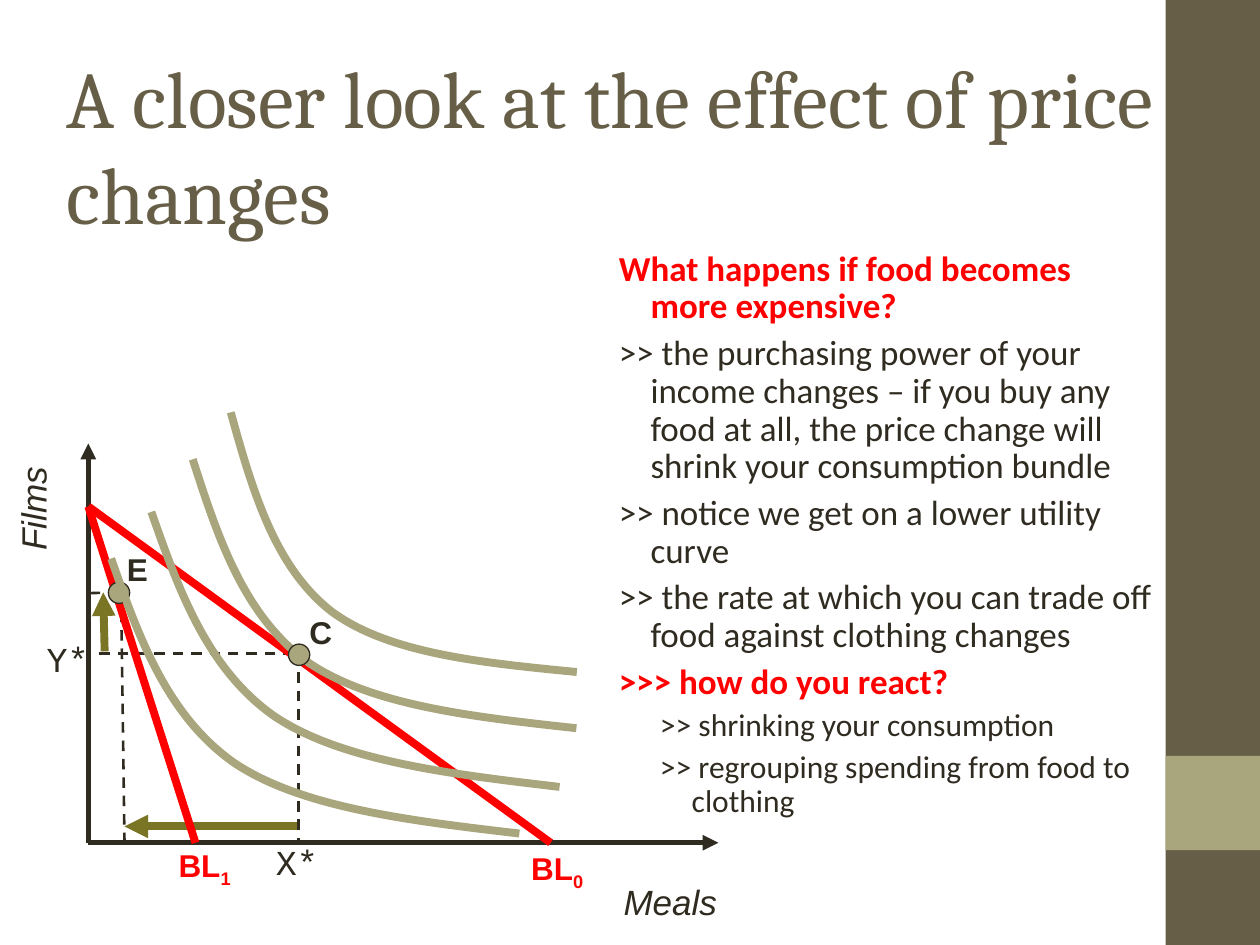
from dataclasses import dataclass

from lxml import etree
from pptx import Presentation
from pptx import util as u
from pptx.dml.color import RGBColor
from pptx.enum import dml, shapes, text
from pptx.oxml.ns import qn


@dataclass(frozen=True)
class Theme:
    ink: str = "2F2B20"
    brown: str = "675E47"
    sage: str = "A9A57C"
    olive: str = "7A7425"
    red: str = "FF0000"
    title_font: str = "Cambria"
    body_font: str = "Calibri"
    label_font: str = "Arial"
    value_font: str = "Courier New"
    title_size: float = 46
    body_size: float = 20
    small_size: float = 18
    thin: float = 1.5
    axis: float = 3
    thick: float = 4.5


THEME = Theme()

# Indifference curve as fractions of its box: start, then two Bezier segments
CURVE = [(0, 0), (0.1, 0.36), (0.2, 0.71), (0.365, 0.86),
         (0.53, 1), (0.765, 0.93), (1, 0.86)]
CURVE_HEIGHT, CURVE_TILT = 3.96, 13.9


def write(paragraph, words, *, size, font, color=THEME.ink, bold=False,
          italic=False, baseline=None):
    """Add one formatted run to a paragraph."""
    run = paragraph.add_run()
    run.text = words
    run.font.size, run.font.name = u.Pt(size), font
    run.font.bold, run.font.italic = bold, italic
    run.font.color.rgb = RGBColor.from_string(color)
    if baseline is not None:
        run.font._element.set("baseline", str(baseline * 1000))


class Canvas:
    """Holds the theme and the current slide; positions are in centimetres."""

    def __init__(self, slide, theme):
        self.slide, self.theme = slide, theme

    def place(self, part, left, top, width, height):
        part.left, part.top = u.Cm(left), u.Cm(top)
        part.width, part.height = u.Cm(width), u.Cm(height)

    def placeholder(self, index, box, anchor):
        holder = self.slide.placeholders[index]
        self.place(holder, *box)
        frame = holder.text_frame
        frame.auto_size, frame.word_wrap = text.MSO_AUTO_SIZE.NONE, True
        frame.vertical_anchor = anchor
        return frame

    def title(self, words, box):
        frame = self.placeholder(0, box, text.MSO_ANCHOR.MIDDLE)
        heading = frame.paragraphs[0]
        heading.alignment = text.PP_ALIGN.LEFT
        write(heading, words, size=self.theme.title_size,
              font=self.theme.title_font, color=self.theme.brown)

    def points(self, entries, box):
        frame = self.placeholder(1, box, text.MSO_ANCHOR.TOP)
        for number, (level, words, strong) in enumerate(entries):
            point = frame.add_paragraph() if number else frame.paragraphs[0]
            point.level, point.line_spacing = level, 0.9
            point.space_before = u.Pt((4.5 if level else 5) if number else 0)
            props = point._p.get_or_add_pPr()
            props.set("marL", str(u.Cm(1.78 if level else 0.95)))
            props.set("indent", str(u.Cm(-0.64)))
            etree.SubElement(props, qn("a:buNone"))
            write(point, words, bold=strong, font=self.theme.body_font,
                  size=self.theme.small_size if level else self.theme.body_size,
                  color=self.theme.red if strong else self.theme.ink)

    def label(self, words, box, *, wrap=False, rotation=0, subscript="", **style):
        part = self.slide.shapes.add_textbox(0, 0, 0, 0)
        self.place(part, *box)
        part.rotation = rotation
        part.text_frame.word_wrap = wrap
        part.text_frame.auto_size = text.MSO_AUTO_SIZE.SHAPE_TO_FIT_TEXT
        line = part.text_frame.paragraphs[0]
        write(line, words, **style)
        if subscript:
            write(line, subscript, baseline=-25, **style)

    def solid(self, kind, box, color):
        part = self.slide.shapes.add_shape(kind, *map(u.Cm, box))
        part.shadow.inherit = False
        part.fill.solid()
        part.fill.fore_color.rgb = RGBColor.from_string(color)
        part.line.fill.background()
        return part

    def band(self, top, height, color):
        """Side band, sent behind everything else."""
        band = self.solid(shapes.MSO_SHAPE.RECTANGLE, (23.5, top, 1.9, height), color)
        self.slide.shapes.element.insert(2, band.element)

    def dot(self, x, y, size=0.43):
        box = (x - size / 2, y - size / 2, size, size)
        dot = self.solid(shapes.MSO_SHAPE.OVAL, box, self.theme.sage)
        dot.line.color.rgb = RGBColor.from_string(self.theme.ink)
        dot.line.width = u.Pt(0.75)

    def line(self, start, end, color, width, *, dashed=False, arrow=False):
        part = self.slide.shapes.add_connector(
            shapes.MSO_CONNECTOR.STRAIGHT, *map(u.Cm, start + end))
        part.line.color.rgb = RGBColor.from_string(color)
        part.line.width = u.Pt(width)
        if dashed:
            part.line.dash_style = dml.MSO_LINE.DASH
        if arrow:
            etree.SubElement(part.line._get_or_add_ln(), qn("a:tailEnd"), type="triangle")
        etree.SubElement(part.element.spPr, qn("a:effectLst"))

    def indifference_curve(self, left, top, width):
        spots = [(u.Cm(left + fx * width), u.Cm(top + fy * CURVE_HEIGHT))
                 for fx, fy in CURVE]
        builder = self.slide.shapes.build_freeform(*spots[0])
        builder.add_line_segments(spots[1:], close=False)
        curve = builder.convert_to_shape()
        # Turn each three straight steps into one Bezier segment
        outline = next(curve.element.iter(qn("a:path")))
        steps = outline.findall(qn("a:lnTo"))
        for first in range(0, len(steps), 3):
            bezier = etree.SubElement(outline, qn("a:cubicBezTo"))
            for step in steps[first:first + 3]:
                bezier.append(step[0])
                outline.remove(step)
        curve.rotation = CURVE_TILT
        curve.shadow.inherit = False
        curve.fill.background()
        curve.line.color.rgb = RGBColor.from_string(self.theme.sage)
        curve.line.width = u.Pt(self.theme.thick)


def main():
    deck = Presentation()
    deck.slide_width, deck.slide_height = u.Cm(25.4), u.Cm(19.05)
    t = THEME
    page = Canvas(deck.slides.add_slide(deck.slide_layouts[1]), t)

    # Side bands, title and argument
    page.band(15.24, 1.9, t.sage)
    page.band(0, 19.05, t.brown)
    page.title("A closer look at the effect of price changes", (1.09, 1.32, 23.44, 3.18))
    page.points([
        (0, "What happens if food becomes more expensive?", True),
        (0, ">> the purchasing power of your income changes – if you buy any food "
            "at all, the price change will shrink your consumption bundle", False),
        (0, ">> notice we get on a lower utility curve", False),
        (0, ">> the rate at which you can trade off food against clothing changes", False),
        (0, ">>> how do you react?", True),
        (1, ">> shrinking your consumption", False),
        (1, ">> regrouping spending from food to clothing", False),
    ], (11.91, 4.93, 11.62, 12.04))

    # Chosen quantities
    for words, left, top in (("Y*", 0.69, 12.73), ("X*", 5.31, 16.81)):
        page.label(words, (left, top, 1.9, 1.12), wrap=True,
                   size=t.body_size, font=t.value_font)

    # Guides from both bundles to the axes
    for start, end in (((6.02, 13.18), (6.02, 16.99)), ((5.92, 13.18), (1.78, 13.18)),
                       ((2.39, 11.94), (1.7, 11.96)), ((2.44, 11.96), (2.51, 16.94))):
        page.line(start, end, t.ink, t.thin, dashed=True)

    # Shifts in consumption
    for start, end in (((2.11, 13.13), (2.08, 11.94)), ((5.99, 16.66), (2.51, 16.66))):
        page.line(start, end, t.olive, t.thick, arrow=True)

    # Axes and budget lines
    origin, intercept = (1.78, 16.99), (1.78, 10.21)
    for tip in ((14.48, 16.99), (1.78, 8.94)):
        page.line(origin, tip, t.ink, t.axis, arrow=True)
    for foot in (11.1, 3.94):
        page.line(intercept, (foot, 16.99), t.red, t.thick)

    # Axis and budget line names
    axis_style = dict(size=t.body_size, font=t.label_font, italic=True)
    page.label("Meals", (12.32, 17.63, 2.39, 1.12), **axis_style)
    page.label("Films", (-0.63, 9.49, 2.6, 1.12), rotation=270, **axis_style)
    bold_style = dict(size=t.small_size, font=t.label_font, bold=True)
    for number, left, top in (("0", 10.46, 16.99), ("1", 3.35, 16.94)):
        page.label("BL", (left, top, 1.55, 1.12), subscript=number,
                   color=t.red, **bold_style)

    # Indifference curves, with the two bundles between them
    for place in ((3.28, 10.26, 8.81), (2.44, 11.38, 9.32)):
        page.indifference_curve(*place)
    page.dot(2.4, 11.95)
    page.dot(6.03, 13.2)
    page.label("C", (5.99, 12.24, 0.97, 1.02), **bold_style)
    page.label("E", (2.31, 10.97, 0.91, 1.02), **bold_style)
    for place in ((4.06, 9.22, 8.03), (1.63, 12.32, 9.32)):
        page.indifference_curve(*place)

    deck.save("out.pptx")


if __name__ == "__main__":
    main()
